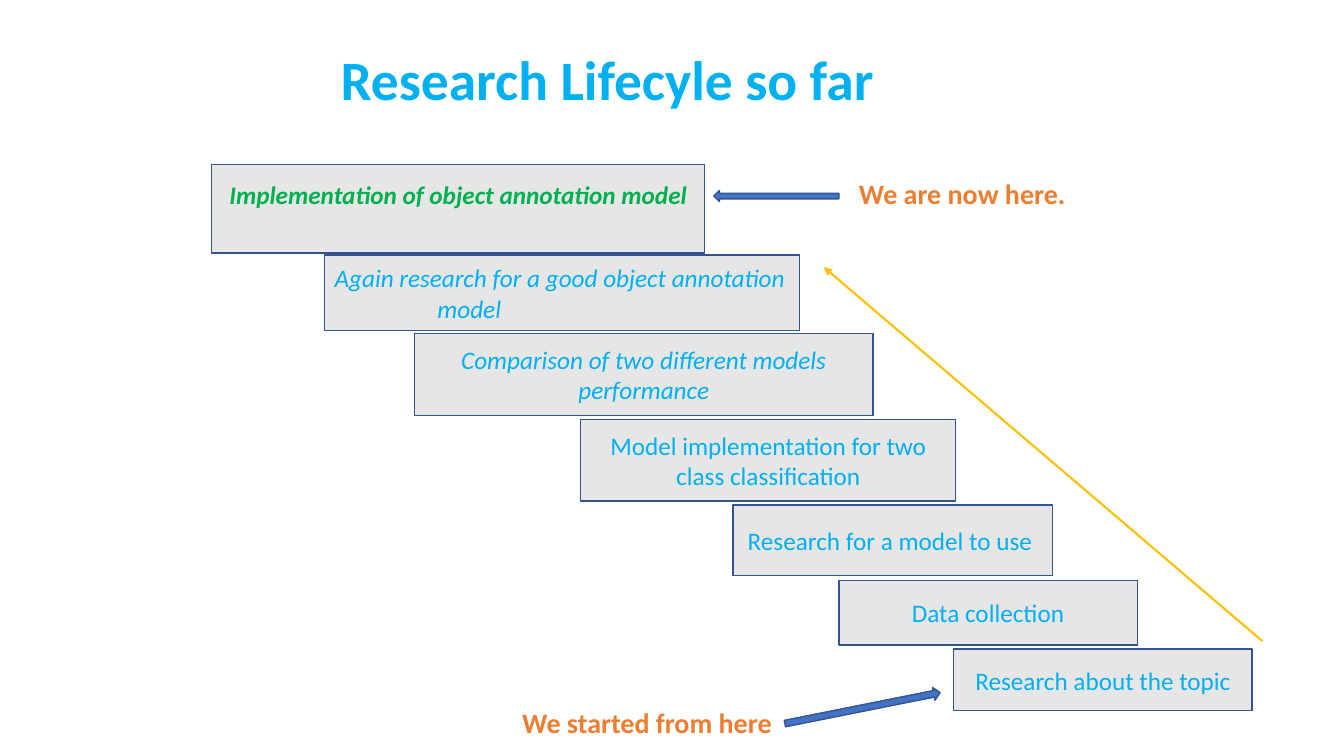
from pptx import Presentation
from pptx.dml.color import RGBColor
from pptx.enum.shapes import MSO_CONNECTOR, MSO_SHAPE
from pptx.enum.text import MSO_ANCHOR, PP_ALIGN
from pptx.oxml.ns import qn
from pptx.util import Inches, Pt
from lxml.etree import SubElement

COLORS = {
    "heading": "00B0F0",
    "current": "00B050",
    "label": "ED7D31",
    "step": "E7E6E6",
    "border": "325491",
    "pointer": "4472C4",
    "progress": "FFC000",
}


def color(name):
    return RGBColor.from_string(COLORS[name])


def write(frame, text, size, color_name, bold=False, italic=False):
    frame.word_wrap = True
    frame.vertical_anchor = MSO_ANCHOR.MIDDLE
    paragraph = frame.paragraphs[0]
    paragraph.text = text
    font = paragraph.font
    font.name, font.size = "Calibri", Pt(size)
    font.bold, font.italic = bold, italic
    font.color.rgb = color(color_name)
    return paragraph


prs = Presentation()
prs.slide_width, prs.slide_height = Inches(13.33), Inches(7.5)
slide = prs.slides.add_slide(prs.slide_layouts[6])
shapes = slide.shapes

# Title and labels: text, left, top, width, height, size, colour
for text, left, top, width, height, size, color_name in [
    ("Research Lifecyle so far", 3.28, 0.4, 6, 0.75, 39.6, "heading"),
    ("We are now here.", 8.42, 1.72, 2.6, 0.4, 20, "label"),
    ("We started from here", 5.08, 6.97, 2.7, 0.4, 20, "label"),
]:
    box = shapes.add_textbox(Inches(left), Inches(top), Inches(width), Inches(height))
    write(box.text_frame, text, size, color_name, bold=True)

# Staircase, from the first step at the bottom to the current one at the top
steps = [
    ("Research about the topic", 9.46, 6.44, 2.96, 0.61),
    ("Data collection", 8.32, 5.76, 2.96, 0.64),
    ("Research for a model to use ", 7.27, 5.01, 3.17, 0.7),
    ("Model implementation for two class classification", 5.76, 4.16, 3.72, 0.81),
    ("Comparison of two different models performance", 4.11, 3.31, 4.55, 0.81),
    ("Again research for a good object annotation model", 3.22, 2.53, 4.71, 0.75),
    ("Implementation of object annotation model", 2.1, 1.63, 4.89, 0.88),
]
for number, (text, left, top, width, height) in enumerate(steps, 1):
    step = shapes.add_shape(MSO_SHAPE.RECTANGLE, Inches(left), Inches(top),
                            Inches(width), Inches(height))
    step.shadow.inherit = False
    step.fill.solid()
    step.fill.fore_color.rgb = color("step")
    step.line.color.rgb = color("border")
    step.line.width = Pt(1)
    is_current = number == len(steps)
    paragraph = write(step.text_frame, text, 18, "current" if is_current else "heading",
                      bold=is_current, italic=number >= 5)
    paragraph.alignment = PP_ALIGN.CENTER
    if is_current:
        step.text_frame.margin_bottom = Inches(0.34)
    elif number == 6:
        # Hanging indent sets the wrapped word further in
        paragraph.alignment = PP_ALIGN.LEFT
        properties = paragraph._p.get_or_add_pPr()
        properties.set("marL", str(Inches(1.02)))
        properties.set("indent", str(-Inches(1.02)))

# Pointers from the labels to their steps
for left, top, width, height, rotation in [
    (7.08, 1.89, 1.24, 0.11, 180),
    (7.77, 6.96, 1.57, 0.13, 348.7),
]:
    pointer = shapes.add_shape(MSO_SHAPE.RIGHT_ARROW, Inches(left), Inches(top),
                               Inches(width), Inches(height))
    pointer.rotation = rotation
    pointer.shadow.inherit = False
    pointer.fill.solid()
    pointer.fill.fore_color.rgb = color("pointer")
    pointer.line.color.rgb = color("border")
    pointer.line.width = Pt(1)

# Progress arrow up the staircase
progress = shapes.add_connector(MSO_CONNECTOR.STRAIGHT, Inches(12.52), Inches(6.36),
                                Inches(8.17), Inches(2.65))
progress.line.color.rgb = color("progress")
progress.line.width = Pt(1.5)
SubElement(progress.line._get_or_add_ln(), qn("a:tailEnd"), type="triangle")
SubElement(progress._element.spPr, qn("a:effectLst"))

prs.save("out.pptx")
